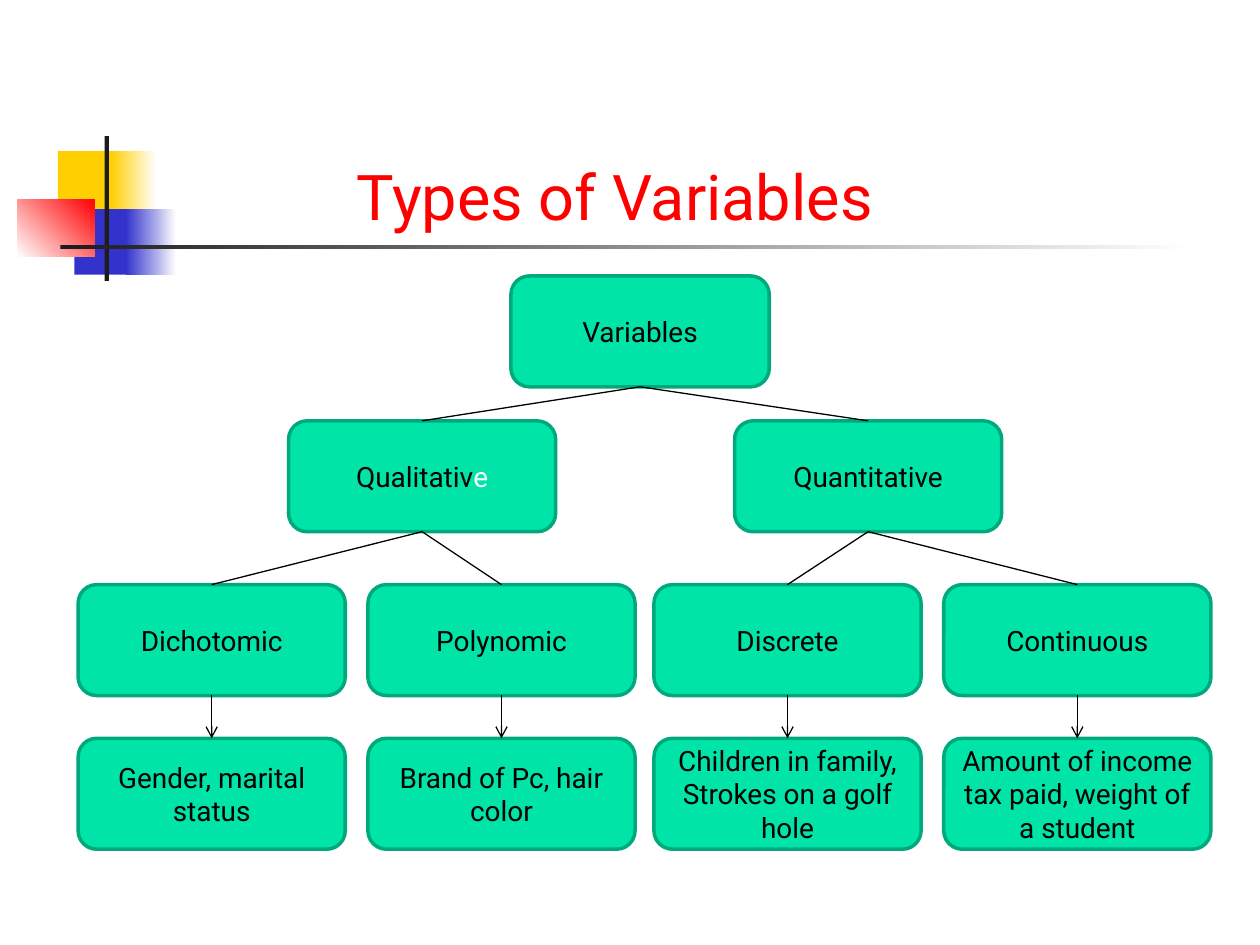
from lxml import etree
from pptx import Presentation
from pptx.dml.color import RGBColor
from pptx.enum.shapes import MSO_CONNECTOR as CONN, MSO_SHAPE as SHAPE
from pptx.enum.text import MSO_ANCHOR as ANCHOR, PP_ALIGN as ALIGN
from pptx.oxml.ns import qn
from pptx.util import Inches, Pt

BLACK = RGBColor(0x00, 0x00, 0x00)
WHITE = RGBColor(0xFF, 0xFF, 0xFF)
RED = RGBColor(0xFF, 0x00, 0x00)
YELLOW = RGBColor(0xFF, 0xCF, 0x01)
BLUE = RGBColor(0x33, 0x33, 0xCC)
CHARCOAL = RGBColor(0x1C, 0x1C, 0x1C)
MINT = RGBColor(0x00, 0xE4, 0xA8)
GREEN = RGBColor(0x00, 0xA9, 0x7C)

COLS, ROWS = 100, 75
CELL = Inches(0.1)
BOX_W, BOX_H = 21.2, 8.8
LEAF_CENTRES = (16.8, 39.8, 62.5, 85.5)
ROOT_Y, KIND_Y, LEAF_Y, EXAMPLE_Y = 21.9, 33.4, 46.4, 58.6


def grid(*cells):
    return [round(c * CELL) for c in cells]


class Slide:
    """Style of the deck and the slide being drawn, measured in grid cells."""

    font = "Roboto"

    def __init__(self, prs):
        self.s = prs.slides.add_slide(prs.slide_layouts[5])

    def style_run(self, r, size, color):
        r.font.name = self.font
        r.font.size = Pt(size)
        r.font.color.rgb = color

    def title(self, text, x, y, w, h, bottom_inset):
        sp = self.s.shapes.title
        sp.left, sp.top, sp.width, sp.height = grid(x, y, w, h)
        tf = sp.text_frame
        tf.text = text
        tf.vertical_anchor = ANCHOR.BOTTOM
        tf.margin_bottom, = grid(bottom_inset)
        p = tf.paragraphs[0]
        p.alignment = ALIGN.CENTER
        self.style_run(p.runs[0], 36, RED)

    def block(self, x, y, w, h, start, end=None, angle=0):
        """Borderless rectangle, solid or fading from start to end."""
        sp = self.s.shapes.add_shape(SHAPE.RECTANGLE, *grid(x, y, w, h))
        sp.shadow.inherit = False
        sp.line.fill.background()
        if end is None:
            sp.fill.solid()
            sp.fill.fore_color.rgb = start
        else:
            sp.fill.gradient()
            sp.fill.gradient_angle = angle
            for stop, color in zip(sp.fill.gradient_stops, (start, end)):
                stop.color.rgb = color

    def box(self, centre, y, *parts, w=BOX_W):
        """Rounded box; a second text part is set in white."""
        sp = self.s.shapes.add_shape(
            SHAPE.ROUNDED_RECTANGLE, *grid(centre - w / 2, y, w, BOX_H))
        sp.shadow.inherit = False
        sp.fill.solid()
        sp.fill.fore_color.rgb = MINT
        sp.line.color.rgb = GREEN
        sp.line.width = Pt(2)
        tf = sp.text_frame
        tf.word_wrap = True
        tf.vertical_anchor = ANCHOR.MIDDLE
        p = tf.paragraphs[0]
        p.alignment = ALIGN.CENTER
        for text, color in zip(parts, (BLACK, WHITE)):
            r = p.add_run()
            r.text = text
            self.style_run(r, 16, color)
        return sp

    def link(self, parent, child, arrow=False):
        c = self.s.shapes.add_connector(CONN.STRAIGHT, 0, 0, 0, 0)
        c.begin_connect(parent, 2)
        c.end_connect(child, 0)
        c.line.color.rgb = BLACK
        c.line.width = Pt(0.75)
        if arrow:
            etree.SubElement(c.line._get_or_add_ln(), qn("a:tailEnd"), type="arrow")
        etree.SubElement(c._element.spPr, qn("a:effectLst"))


def draw_ornament(slide):
    slide.block(4.6, 12, 4.8, 5.2, YELLOW)
    slide.block(8.8, 12, 3.6, 5.2, YELLOW, WHITE)
    slide.block(5.9, 16.6, 4.6, 5.2, BLUE)
    slide.block(10, 16.6, 4, 5.2, BLUE, WHITE)
    slide.block(1.4, 15.8, 6.1, 4.6, WHITE, RED, angle=45)
    slide.block(8.3, 10.8, 0.35, 11.5, CHARCOAL)
    slide.block(4.8, 19.45, 90, 0.35, CHARCOAL, WHITE)


def draw_tree(slide):
    root = slide.box(50.8, ROOT_Y, "Variables", w=20.5)
    kinds = [slide.box(33.5, KIND_Y, "Qualitativ", "e"),
             slide.box(68.9, KIND_Y, "Quantitative")]
    leaves = [
        ("Dichotomic", "Gender, marital status"),
        ("Polynomic", "Brand of Pc, hair color"),
        ("Discrete", "Children in family, Strokes on a golf hole"),
        ("Continuous", "Amount of income tax paid, weight of a student"),
    ]
    for kind in kinds:
        slide.link(root, kind)
    for i, (centre, (name, example)) in enumerate(zip(LEAF_CENTRES, leaves)):
        leaf = slide.box(centre, LEAF_Y, name)
        slide.link(kinds[i // 2], leaf)
        slide.link(leaf, slide.box(centre, EXAMPLE_Y, example), arrow=True)


def main():
    prs = Presentation()
    prs.slide_width, prs.slide_height = grid(COLS, ROWS)
    slide = Slide(prs)
    draw_ornament(slide)
    slide.title("Types of Variables", 16.4, 10.9, 64.8, 12.5, bottom_inset=4.9)
    draw_tree(slide)
    prs.save("out.pptx")


if __name__ == "__main__":
    main()
